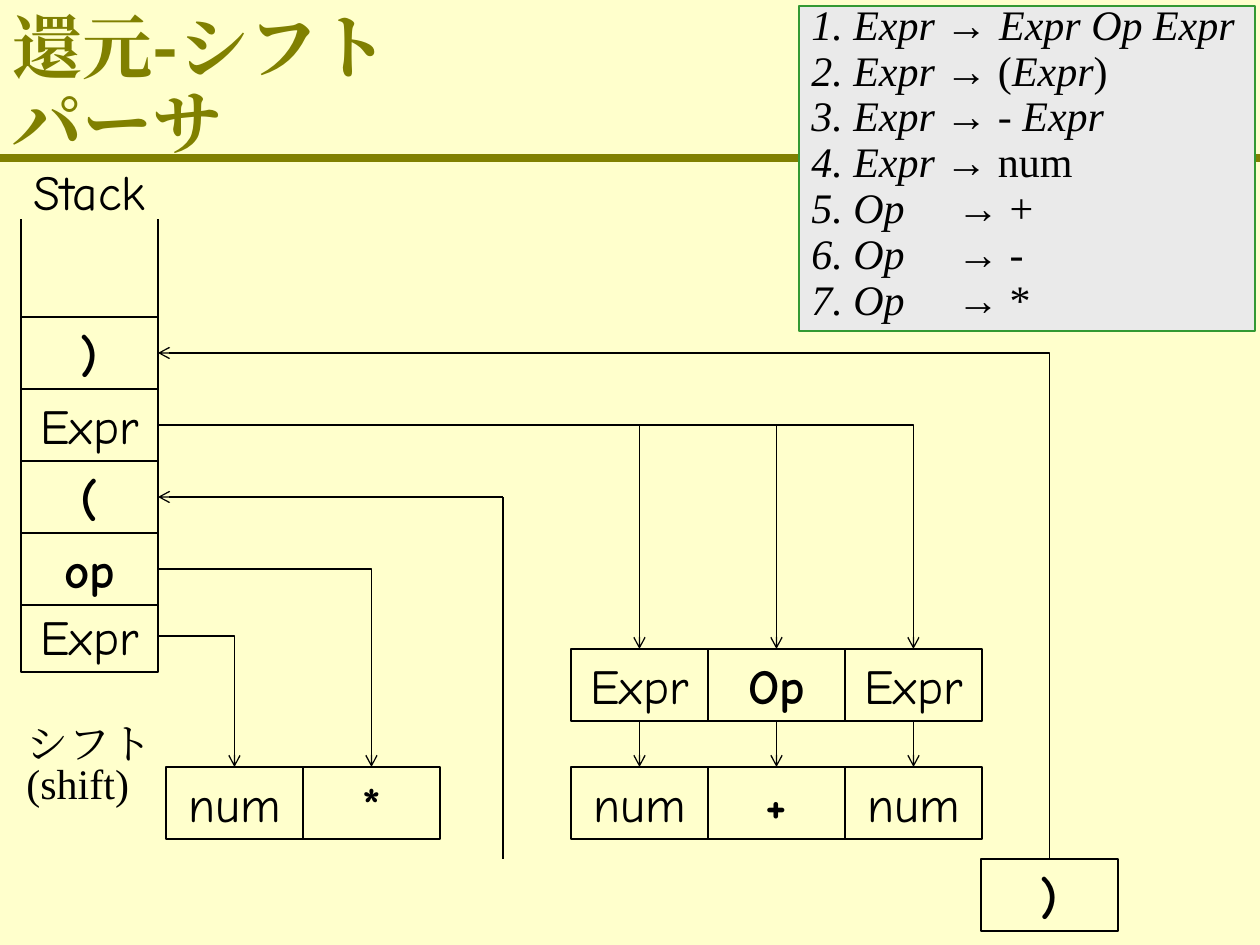
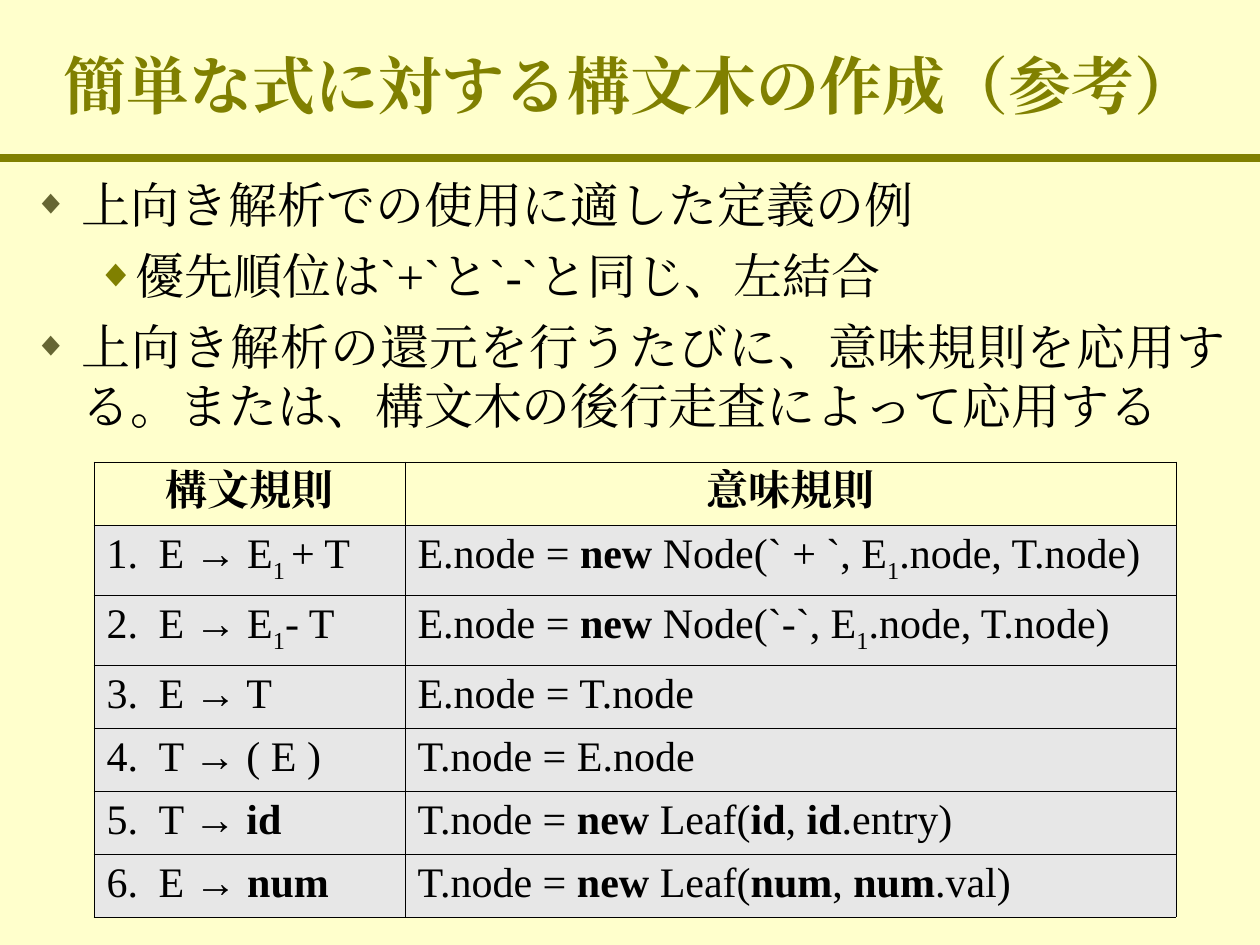
from lxml.etree import SubElement
from pptx import Presentation
from pptx.dml.color import RGBColor
from pptx.enum.shapes import MSO_CONNECTOR, MSO_SHAPE
from pptx.enum.text import MSO_ANCHOR, MSO_AUTO_SIZE, PP_ALIGN
from pptx.oxml.ns import qn
from pptx.util import Emu, Pt

# Shared look
PAPER, OLIVE, MOSS, INK = "FFFFCC", "808000", "666633", "000000"
GRAMMAR_FILL, GRAMMAR_EDGE, RULE_FILL = "EAEAEA", "339933", "E7E7E7"
SERIF, SANS, COMIC, GOTHIC = "Times New Roman", "Arial", "Comic Neue", "Noto Sans CJK JP"
SLIDE_W, SLIDE_H = 1260, 945
BAND_Y = 158
TITLE_AREA = (0, 10, 1260, 158)

# Slide 1 content: a run is (text, flags), with b bold, i italic, s subscript, a Arial
PARSER_TITLE = ["還元-シフト", "パーサ"]
GRAMMAR = [
    [("1. Expr ", "i"), ("→ ", "a"), ("Expr Op Expr", "i")],
    [("2. Expr ", "i"), ("→", "a"), (" (", ""), ("Expr", "i"), (")", "")],
    [("3. Expr ", "i"), ("→", "a"), (" - ", ""), ("Expr", "i")],
    [("4. Expr ", "i"), ("→", "a"), (" num", "")],
    [("5. Op 　", "i"), ("→ ", "a"), ("+", "")],
    [("6. Op 　", "i"), ("→ ", "a"), ("-", "")],
    [("7. Op 　", "i"), ("→ ", "a"), ("*", "")],
]
GRAMMAR_AREA = (799, 6, 456, 325)
STACK_LABEL = "Stack"
SHIFT_LABEL = ["シフト", "(shift)"]

# Groups of symbols: name -> (left, top, symbols)
SYMBOL_W, SYMBOL_H = 137, 72
SYMBOL_ROWS = {
    "shifted": (166, 767, ["num", "*"]),
    "sum": (571, 649, ["Expr", "Op", "Expr"]),
    "leaf": (571, 767, ["num", "+", "num"]),
    "closing": (981, 859, [")"]),
}
STACK_LEFT, STACK_TOP, STACK_BOTTOM = 21, 219, 670
STACK = [  # bottom of the stack first
    ("left expr", 600, "Expr"), ("op", 533, "op"), ("open", 461, "("),
    ("inner expr", 389, "Expr"), ("close", 317, ")"),
]
# (stack entry, symbol row, column, end that carries the arrow)
STACK_LINKS = [
    ("left expr", "shifted", 0, "tailEnd"), ("op", "shifted", 1, "tailEnd"),
    ("inner expr", "sum", 0, "tailEnd"), ("inner expr", "sum", 1, "tailEnd"),
    ("inner expr", "sum", 2, "tailEnd"), ("close", "closing", 0, "headEnd"),
]
OPEN_X, OPEN_BOTTOM = 503, 859

# Slide 2 content
TREE_TITLE = ["簡単な式に対する構文木の作成（参考）"]
POINTS = [
    (0, "上向き解析での使用に適した定義の例"),
    (1, "優先順位は`+`と`-`と同じ、左結合"),
    (0, "上向き解析の還元を行うたびに、意味規則を応用する。または、構文木の後行走査によって応用する"),
]
BULLETS = [(48, 48, MOSS, 70), (102, 39, OLIVE, 80)]  # margin, hang, colour, percent
RULE_HEADS = ["構文規則", "意味規則"]
RULES = [
    ([("1.\tE → E", ""), ("1 ", "s"), ("+ T", "")],
     [("E.node = ", ""), ("new", "b"), (" Node(` + `, E", ""), ("1", "s"),
      (".node, T.node)", "")]),
    ([("2.\tE → E", ""), ("1", "s"), ("‐ T", "")],
     [("E.node = ", ""), ("new", "b"), (" Node(`‐`, E", ""), ("1", "s"),
      (".node, T.node)", "")]),
    ([("3.\tE → T", "")], [("E.node = T.node", "")]),
    ([("4.\tT → ( E )", "")], [("T.node = E.node", "")]),
    ([("5.\tT → ", ""), ("id", "b")],
     [("T.node = ", ""), ("new", "b"), (" Leaf(", ""), ("id", "b"), (", ", ""),
      ("id", "b"), (".entry)", "")]),
    ([("6.\tE → ", ""), ("num", "b")],
     [("T.node = ", ""), ("new", "b"), (" Leaf(", ""), ("num", "b"), (", ", ""),
      ("num", "b"), (".val)", "")]),
]
RULE_COLUMNS = [311, 771]
RULE_HEIGHTS = [63, 70, 70, 63, 63, 63, 63]
RULE_TAB = 52


def px(length):
    return Emu(round(length * 914400 / 126))


def area(*lengths):
    return [px(length) for length in lengths]


def colour(code):
    return RGBColor.from_string(code)


# Text helpers
def add_run(paragraph, text, size, face=SERIF, ink=INK, flags=""):
    run = paragraph.add_run()
    run.text = text
    font = run.font
    font.size, font.bold, font.italic = Pt(size), "b" in flags, "i" in flags
    font.color.rgb = colour(ink)
    font.name = SANS if "a" in flags else face
    properties = run._r.get_or_add_rPr()
    SubElement(properties, qn("a:ea"), typeface=SERIF)
    if "s" in flags:
        properties.set("baseline", "-25000")


def add_lines(paragraph, lines, *style):
    for number, line in enumerate(lines):
        if number:
            paragraph.add_line_break()
        add_run(paragraph, line, *style)


def paragraphs(frame, items):
    for number, item in enumerate(items):
        yield (frame.add_paragraph() if number else frame.paragraphs[0]), item, number


# Shape helpers
def place(shape, left, top, width, height):
    shape.left, shape.top, shape.width, shape.height = area(left, top, width, height)


def add_box(slide, bounds, fill, edge, weight):
    box = slide.shapes.add_shape(MSO_SHAPE.RECTANGLE, *area(*bounds))
    box.shadow.inherit = False
    box.fill.solid()
    box.fill.fore_color.rgb = colour(fill)
    box.line.color.rgb = colour(edge)
    box.line.width = Pt(weight)
    box.text_frame.word_wrap = True
    box.text_frame.vertical_anchor = MSO_ANCHOR.TOP
    return box


def add_symbol(slide, left, top, symbol):
    box = add_box(slide, (left, top, SYMBOL_W, SYMBOL_H), PAPER, INK, 1.5)
    paragraph = box.text_frame.paragraphs[0]
    paragraph.alignment = PP_ALIGN.CENTER
    plain = symbol in ("Expr", "num")
    add_run(paragraph, symbol, 28, COMIC, INK, "" if plain else "b")
    return box


def add_label(slide, bounds):
    label = slide.shapes.add_textbox(*area(*bounds))
    label.text_frame.word_wrap = False
    return label.text_frame.paragraphs[0]


def add_line(slide, start, end, weight=0.75, ink=INK, arrow=None, bent=False):
    kind = MSO_CONNECTOR.ELBOW if bent else MSO_CONNECTOR.STRAIGHT
    line = slide.shapes.add_connector(kind, *start, *end)
    line.line.color.rgb = colour(ink)
    line.line.width = Pt(weight)
    properties = line._element.spPr
    if bent:
        properties.find(qn("a:prstGeom")).set("prst", "bentConnector2")
    if arrow:
        SubElement(properties.find(qn("a:ln")), qn(f"a:{arrow}"), type="arrow")
    SubElement(properties, qn("a:effectLst"))
    return line


def side(box, site):
    """Middle of a box side: 0 top, 2 bottom, 3 right."""
    if site == 3:
        return box.left + box.width, box.top + box.height // 2
    return box.left + box.width // 2, box.top + (box.height if site == 2 else 0)


def join(slide, first, first_site, second, second_site, arrow, bent=False):
    line = add_line(slide, side(first, first_site), side(second, second_site),
                    arrow=arrow, bent=bent)
    line.begin_connect(first, first_site)
    line.end_connect(second, second_site)


def start_slide(deck, layout, lines, size, face, alignment):
    slide = deck.slides.add_slide(deck.slide_layouts[layout])
    add_line(slide, area(0, BAND_Y), area(SLIDE_W, BAND_Y), 4.5, OLIVE)
    title = slide.shapes.title
    place(title, *TITLE_AREA)
    frame = title.text_frame
    frame.auto_size = MSO_AUTO_SIZE.NONE
    frame.vertical_anchor = MSO_ANCHOR.MIDDLE
    paragraph = frame.paragraphs[0]
    paragraph.alignment = alignment
    paragraph.line_spacing = 0.9
    add_lines(paragraph, lines, size, face, OLIVE, "b")
    return slide


# Slide 1: shift-reduce parser
def build_parser(deck):
    slide = start_slide(deck, 5, PARSER_TITLE, 40, GOTHIC, PP_ALIGN.LEFT)

    # Stack
    for x in (STACK_LEFT, STACK_LEFT + SYMBOL_W):
        add_line(slide, area(x, STACK_BOTTOM), area(x, STACK_TOP), 1.5)
    heading = add_label(slide, (20, 155, 139, 72))
    heading.alignment = PP_ALIGN.CENTER
    add_run(heading, STACK_LABEL, 28, COMIC)
    stack = {entry: add_symbol(slide, STACK_LEFT, top, symbol)
             for entry, top, symbol in STACK}

    # Symbol rows
    rows = {name: [add_symbol(slide, left + column * SYMBOL_W, top, symbol)
                   for column, symbol in enumerate(symbols)]
            for name, (left, top, symbols) in SYMBOL_ROWS.items()}

    # Arrows
    for entry, row, column, arrow in STACK_LINKS:
        join(slide, stack[entry], 3, rows[row][column], 0, arrow, bent=True)
    for parent, leaf in zip(rows["sum"], rows["leaf"]):
        join(slide, parent, 2, leaf, 0, "tailEnd")
    opening = side(stack["open"], 3)
    corner = (px(OPEN_X), opening[1])
    add_line(slide, area(OPEN_X, OPEN_BOTTOM), corner)
    add_line(slide, corner, opening, arrow="tailEnd").end_connect(stack["open"], 3)

    shift = add_label(slide, (14, 721, 151, 93))
    shift.line_spacing = 0.8
    add_lines(shift, SHIFT_LABEL, 24)

    # Grammar
    grammar = add_box(slide, GRAMMAR_AREA, GRAMMAR_FILL, GRAMMAR_EDGE, 0.75)
    for paragraph, production, number in paragraphs(grammar.text_frame, GRAMMAR):
        paragraph.alignment = PP_ALIGN.LEFT
        paragraph.line_spacing = 0.7
        paragraph.space_before = Pt(6 if number else 0)
        for text, flags in production:
            add_run(paragraph, text, 24, flags=flags)


# Slide 2: syntax tree rules
def add_bullet(paragraph, level):
    margin, hang, ink, percent = BULLETS[level]
    properties = paragraph._p.get_or_add_pPr()
    properties.set("marL", str(px(margin)))
    properties.set("indent", str(-px(hang)))
    SubElement(SubElement(properties, qn("a:buClr")), qn("a:srgbClr"), val=ink)
    SubElement(properties, qn("a:buSzPct"), val=str(percent * 1000))
    SubElement(properties, qn("a:buChar"), char="◆")


def format_cell(cell, fill):
    cell.fill.solid()
    cell.fill.fore_color.rgb = colour(fill)
    properties = cell._tc.get_or_add_tcPr()
    for number, edge in enumerate(("lnL", "lnR", "lnT", "lnB")):
        border = properties.makeelement(qn(f"a:{edge}"), {"w": str(Pt(0.45))})
        properties.insert(number, border)
        SubElement(SubElement(border, qn("a:solidFill")), qn("a:srgbClr"), val=INK)


def build_tree(deck):
    slide = start_slide(deck, 1, TREE_TITLE, 36, SERIF, PP_ALIGN.CENTER)

    # Points
    body = slide.placeholders[1]
    place(body, 21, 168, 1218, 756)
    body.text_frame.auto_size = MSO_AUTO_SIZE.NONE
    for paragraph, (level, text), number in paragraphs(body.text_frame, POINTS):
        paragraph.level = level
        add_bullet(paragraph, level)
        paragraph.alignment = PP_ALIGN.JUSTIFY
        paragraph.space_before = Pt(7 if number else 0)
        add_run(paragraph, text, 28)

    # Rule table
    bounds = area(94, 462, sum(RULE_COLUMNS), sum(RULE_HEIGHTS))
    table = slide.shapes.add_table(len(RULE_HEIGHTS), len(RULE_COLUMNS), *bounds).table
    table.first_row = table.horz_banding = False
    for column, width in zip(table.columns, RULE_COLUMNS):
        column.width = px(width)
    for row, height in zip(table.rows, RULE_HEIGHTS):
        row.height = px(height)
    heads = [[(head, "b")] for head in RULE_HEADS]
    for y, rule in enumerate([heads, *RULES]):
        for x, runs in enumerate(rule):
            cell = table.cell(y, x)
            format_cell(cell, RULE_FILL if y else PAPER)
            paragraph = cell.text_frame.paragraphs[0]
            paragraph.alignment = PP_ALIGN.LEFT if y else PP_ALIGN.CENTER
            if y and x == 0:
                tabs = SubElement(paragraph._p.get_or_add_pPr(), qn("a:tabLst"))
                SubElement(tabs, qn("a:tab"), pos=str(px(RULE_TAB)), algn="l")
            for text, flags in runs:
                add_run(paragraph, text, 24, flags=flags)


def main():
    deck = Presentation()
    deck.slide_width, deck.slide_height = area(SLIDE_W, SLIDE_H)
    backdrop = deck.slide_master.background.fill
    backdrop.solid()
    backdrop.fore_color.rgb = colour(PAPER)
    build_parser(deck)
    build_tree(deck)
    deck.save("out.pptx")


if __name__ == "__main__":
    main()
